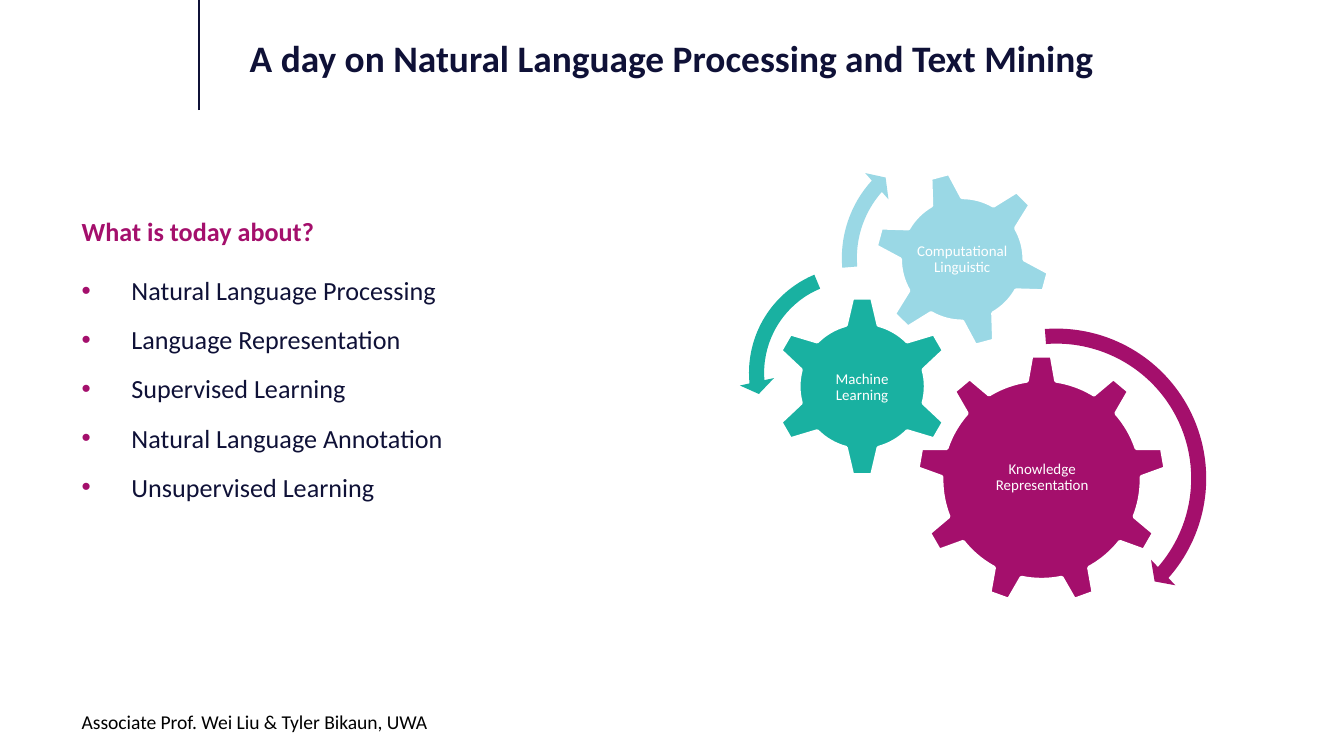
from dataclasses import dataclass

import pptx
import pptx.dml.color
import pptx.enum.shapes
import pptx.enum.text
import pptx.oxml.ns
import pptx.util
from lxml import etree

Inches = pptx.util.Inches
Pt = pptx.util.Pt
SHAPE = pptx.enum.shapes.MSO_SHAPE
qn = pptx.oxml.ns.qn


@dataclass(frozen=True)
class Theme:
    font: str = "Calibri"
    navy: str = "0F1137"
    magenta: str = "A40F6C"
    teal: str = "19B1A1"
    sky: str = "9AD8E5"
    white: str = "FFFFFF"
    black: str = "000000"
    title: float = 20
    body: float = 14
    footer: float = 10.5
    label: float = 8


THEME = Theme()

TOPICS = [
    "Natural Language Processing",
    "Language Representation",
    "Supervised Learning",
    "Natural Language Annotation",
    "Unsupervised Learning",
]

# label, preset, colour, left, top, size, rotation, label box
GEARS = [
    ("Knowledge Representation", SHAPE.GEAR_9, THEME.magenta,
     6.82, 2.64, 1.86, 0, (7.2, 3.08, 1.11, 0.95)),
    ("Machine Learning", SHAPE.GEAR_6, THEME.teal,
     5.74, 2.2, 1.35, 0, (6.08, 2.55, 0.67, 0.67)),
    ("Computational Linguistic", SHAPE.GEAR_6, THEME.sky,
     6.5, 1.27, 1.32, 345, (6.79, 1.56, 0.74, 0.74)),
]

# preset, colour, left, top, size, adjustments
ARROWS = [
    (SHAPE.CIRCULAR_ARROW, THEME.magenta, 6.67, 2.37, 2.38,
     (0.047, 2.99, 24.823, 159.362, 0.055)),
    (SHAPE.LEFT_CIRCULAR_ARROW, THEME.teal, 5.5, 1.91, 1.73,
     (0.065, 4.3, 104.891, 148.378, 0.075)),
    (SHAPE.CIRCULAR_ARROW, THEME.sky, 6.19, 0.99, 1.86,
     (0.06, 3.941, 133.138, 105.082, 0.07)),
]


def rgb(value):
    return pptx.dml.color.RGBColor.from_string(value)


def set_attributes(target, values):
    for name, value in values.items():
        setattr(target, name, value)


def add_bullet(p, color, indent):
    """Give the paragraph a coloured round bullet with a hanging indent."""
    pPr = p._p.get_or_add_pPr()
    pPr.set("marL", str(Inches(indent)))
    pPr.set("indent", str(-Inches(indent)))
    clr = etree.SubElement(pPr, qn("a:buClr"))
    etree.SubElement(clr, qn("a:srgbClr")).set("val", color)
    etree.SubElement(pPr, qn("a:buFont")).set("typeface", "Arial")
    etree.SubElement(pPr, qn("a:buChar")).set("char", "•")


def add_text(s, box, lines, size, color, bold=False, bullet=None,
             frame=None, paragraph=None, gap=0):
    tf = s.shapes.add_textbox(*map(Inches, box)).text_frame
    set_attributes(tf, {"word_wrap": True, **(frame or {})})
    for i, line in enumerate(lines):
        p = tf.paragraphs[0] if i == 0 else tf.add_paragraph()
        if bullet:
            add_bullet(p, bullet, 0.37)
        set_attributes(p, paragraph or {})
        if i:
            p.space_before = Pt(gap)
        r = p.add_run()
        r.text = line
        set_attributes(r.font, {"name": THEME.font, "size": Pt(size), "bold": bold})
        r.font.color.rgb = rgb(color)


def add_square_shape(s, preset, color, left, top, size):
    sp = s.shapes.add_shape(preset, *map(Inches, (left, top, size, size)))
    sp.shadow.inherit = False
    sp.fill.solid()
    sp.fill.fore_color.rgb = rgb(color)
    sp.line.fill.background()
    return sp


def add_gear(s, label, preset, color, left, top, size, rotation, label_box):
    sp = add_square_shape(s, preset, color, left, top, size)
    sp.rotation = rotation
    sp.line.color.rgb = rgb(THEME.white)
    sp.line.width = Pt(2)
    margins = ("margin_left", "margin_top", "margin_right", "margin_bottom")
    add_text(
        s, label_box, [label], THEME.label, THEME.white,
        frame={"vertical_anchor": pptx.enum.text.MSO_ANCHOR.MIDDLE,
               **dict.fromkeys(margins, Inches(0.01))},
        paragraph={"alignment": pptx.enum.text.PP_ALIGN.CENTER,
                   "line_spacing": 0.9},
    )


def add_arrow(s, preset, color, left, top, size, adjustments):
    sp = add_square_shape(s, preset, color, left, top, size)
    for i, value in enumerate(adjustments):
        sp.adjustments[i] = value


def add_title_rule(s):
    x = Inches(1.48)
    line = s.shapes.add_connector(
        pptx.enum.shapes.MSO_CONNECTOR.STRAIGHT, x, Inches(0.82), x, Inches(0))
    line.line.color.rgb = rgb(THEME.navy)
    line.line.width = Pt(1.25)
    etree.SubElement(line._element.spPr, qn("a:effectLst"))


def main():
    prs = pptx.Presentation()
    width = Inches(10)
    set_attributes(prs, {"slide_width": width, "slide_height": width * 9 // 16})
    s = prs.slides.add_slide(prs.slide_layouts[6])

    add_title_rule(s)
    add_text(s, (0.51, 1.9, 7.6, 1.96), TOPICS, THEME.body, THEME.navy,
             bullet=THEME.magenta, paragraph={"line_spacing": 1.4}, gap=2.8)
    add_text(s, (1.76, 0.21, 7.6, 0.49),
             ["A day on Natural Language Processing and Text Mining"],
             THEME.title, THEME.navy, bold=True)
    add_text(s, (0.51, 1.55, 7.6, 0.24), ["What is today about?"],
             THEME.body, THEME.magenta, bold=True)
    add_text(s, (0.51, 5.23, 7.6, 0.24),
             ["Associate Prof. Wei Liu & Tyler Bikaun, UWA"],
             THEME.footer, THEME.black)
    for gear in GEARS:
        add_gear(s, *gear)
    for arrow in ARROWS:
        add_arrow(s, *arrow)

    prs.save("out.pptx")


if __name__ == "__main__":
    main()
